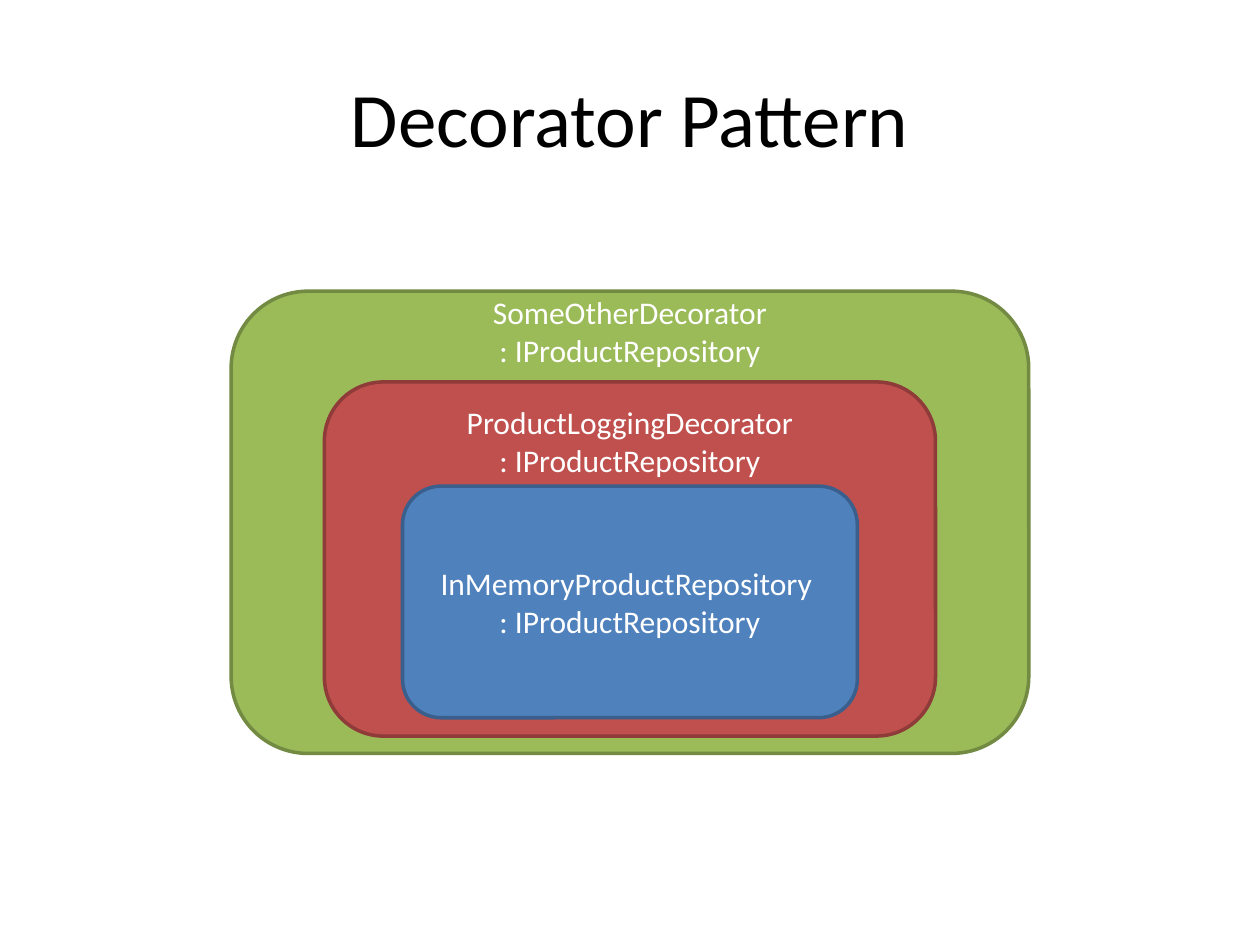
import pptx
import pptx.dml.color
import pptx.enum.shapes
import pptx.enum.text
import pptx.util

Cm = pptx.util.Cm
ANCHOR = pptx.enum.text.MSO_ANCHOR
SLIDE_WIDTH, SLIDE_HEIGHT = 25.4, 19.05
COLORS = {
    "black": "000000", "white": "FFFFFF",
    "green": "9BBB59", "green_line": "738A42",
    "red": "C0504D", "red_line": "8E3B39",
    "blue": "4F81BD", "blue_line": "3A5F8C",
}


def color(name):
    return pptx.dml.color.RGBColor.from_string(COLORS[name])


def centered(top, width, height):
    """Return a frame centred across the slide."""
    return Cm((SLIDE_WIDTH - width) / 2), Cm(top), Cm(width), Cm(height)


def write_text(shape, text, size=18, font_color="white", anchor=ANCHOR.MIDDLE, wrap=True):
    frame = shape.text_frame
    frame.word_wrap = wrap
    frame.vertical_anchor = anchor
    paragraph = frame.paragraphs[0]
    paragraph.text = text
    paragraph.alignment = pptx.enum.text.PP_ALIGN.CENTER
    for run in paragraph.runs:
        run.font.name = "Calibri"
        run.font.size = pptx.util.Pt(size)
        run.font.color.rgb = color(font_color)


def add_layer(slide, fill, top, width, height):
    shape = slide.shapes.add_shape(
        pptx.enum.shapes.MSO_SHAPE.ROUNDED_RECTANGLE, *centered(top, width, height))
    shape.shadow.inherit = False
    shape.fill.solid()
    shape.fill.fore_color.rgb = color(fill)
    shape.line.color.rgb = color(fill + "_line")
    shape.line.width = pptx.util.Pt(2)
    return shape


def add_label(slide, text, top, width, height, **text_format):
    box = slide.shapes.add_textbox(*centered(top, width, height))
    write_text(box, text, **text_format)
    return box


def main():
    presentation = pptx.Presentation()
    presentation.slide_width = Cm(SLIDE_WIDTH)
    presentation.slide_height = Cm(SLIDE_HEIGHT)
    slide = presentation.slides.add_slide(presentation.slide_layouts[6])

    # Title
    add_label(slide, "Decorator Pattern", 0.76, 22.86, 3.18, size=44, font_color="black")

    # Nested layers, outermost first
    add_layer(slide, "green", 5.87, 16.08, 9.32)
    add_layer(slide, "red", 7.7, 12.32, 7.14)
    repository = add_layer(slide, "blue", 9.8, 9.17, 4.67)
    write_text(repository, "InMemoryProductRepository \n: IProductRepository")

    # Decorator names
    for name, top, width in (("ProductLoggingDecorator", 8, 7.39),
                             ("SomeOtherDecorator", 5.79, 6.1)):
        label = add_label(slide, name + "\n: IProductRepository", top, width, 1.8,
                          anchor=ANCHOR.TOP, wrap=False)
        label.text_frame.auto_size = pptx.enum.text.MSO_AUTO_SIZE.SHAPE_TO_FIT_TEXT

    presentation.save("out.pptx")


main()
